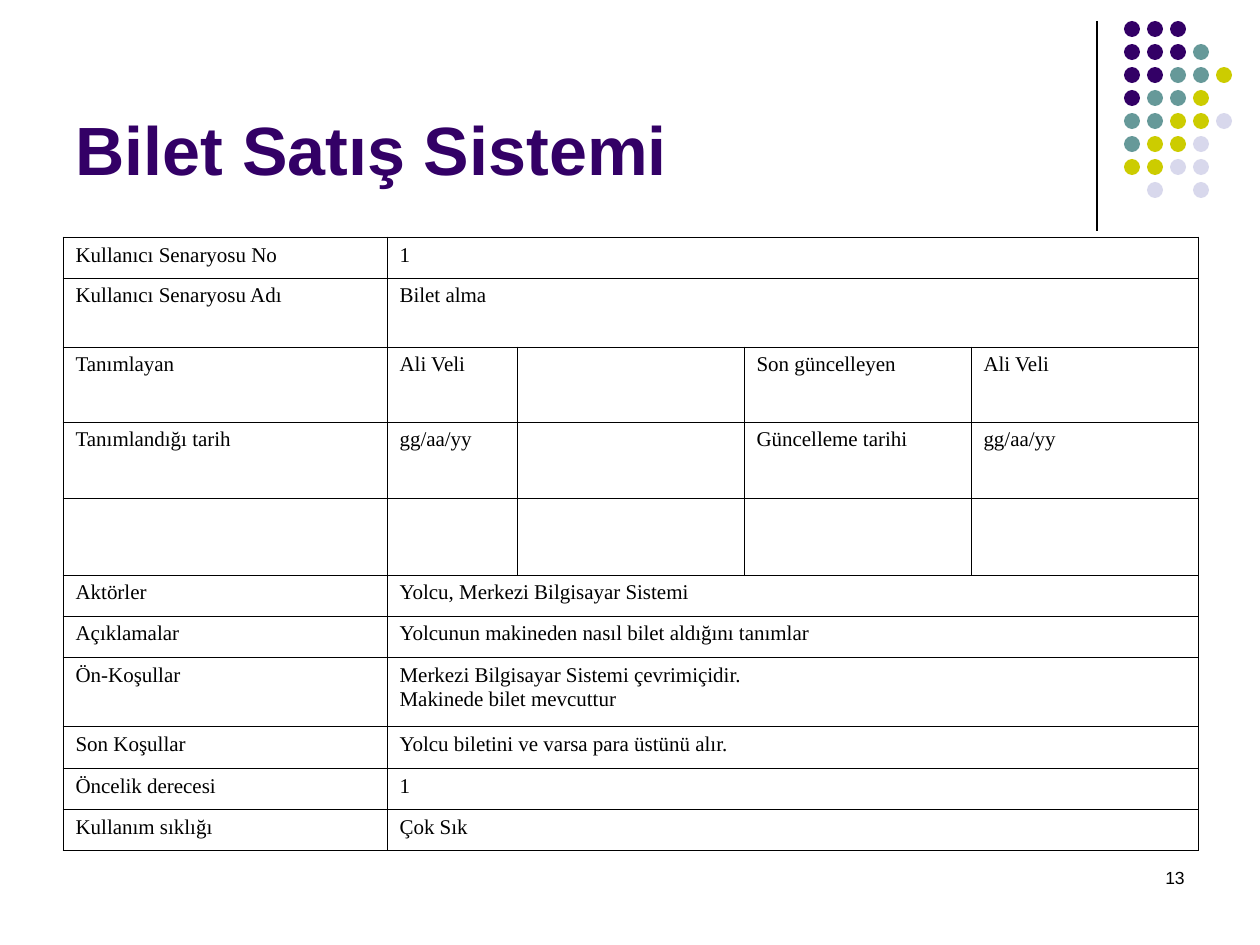
import pptx
import pptx.dml.color
import pptx.enum.shapes
import pptx.enum.text
import pptx.oxml.ns
import pptx.util
from lxml import etree

EMU_PER_PX = 914400 / 126
COLORS = {
    "text": "000000",
    "purple": "330066",
    "teal": "669999",
    "olive": "CCCC00",
    "lilac": "D8D8EC",
}
DOT_COLORS = {"P": "purple", "T": "teal", "O": "olive", "L": "lilac"}
DOT_ROWS = ["PPP", "PPPT", "PPTTO", "PTTO", "TTOOL", "TOOL", "OOLL", " L L"]
COLUMN_WIDTHS = [324, 130, 227, 227, 227]
SCENARIO_ROWS = [
    (41, ["Kullanıcı Senaryosu No", "1"]),
    (69, ["Kullanıcı Senaryosu Adı", "Bilet alma"]),
    (75, ["Tanımlayan", "Ali Veli", "", "Son güncelleyen", "Ali Veli"]),
    (76, ["Tanımlandığı tarih", "gg/aa/yy", "", "Güncelleme tarihi", "gg/aa/yy"]),
    (77, ["", "", "", "", ""]),
    (41, ["Aktörler", "Yolcu, Merkezi Bilgisayar Sistemi"]),
    (42, ["Açıklamalar", "Yolcunun makineden nasıl bilet aldığını tanımlar"]),
    (69, ["Ön-Koşullar",
          "Merkezi Bilgisayar Sistemi çevrimiçidir.\nMakinede bilet mevcuttur"]),
    (42, ["Son Koşullar", "Yolcu biletini ve varsa para üstünü alır."]),
    (41, ["Öncelik derecesi", "1"]),
    (41, ["Kullanım sıklığı", "Çok Sık"]),
]


def px(n):
    return pptx.util.Emu(round(n * EMU_PER_PX))


def rgb(name):
    return pptx.dml.color.RGBColor.from_string(COLORS[name])


def format_runs(tf, font, size, color, bold=False):
    for p in tf.paragraphs:
        for r in p.runs:
            r.font.name = font
            r.font.size = pptx.util.Pt(size)
            r.font.bold = bold
            r.font.color.rgb = rgb(color)


def add_text(s, box, text, size, color, bold=False, align="LEFT", anchor="TOP"):
    tf = s.shapes.add_textbox(*map(px, box)).text_frame
    tf.word_wrap = True
    tf.vertical_anchor = pptx.enum.text.MSO_ANCHOR[anchor]
    tf.text = text
    tf.paragraphs[0].alignment = pptx.enum.text.PP_ALIGN[align]
    format_runs(tf, "Arial", size, color, bold)


def add_divider(s, x, top, bottom):
    line = s.shapes.add_connector(
        pptx.enum.shapes.MSO_CONNECTOR.STRAIGHT, px(x), px(top), px(x), px(bottom))
    line.line.color.rgb = rgb("text")
    line.line.width = pptx.util.Pt(0.75)
    etree.SubElement(line._element.spPr, pptx.oxml.ns.qn("a:effectLst"))


def add_dots(s, left, top, pitch, size):
    group = s.shapes.add_group_shape()
    for row, codes in enumerate(DOT_ROWS):
        for col, code in enumerate(codes):
            if code == " ":
                continue
            sp = group.shapes.add_shape(
                pptx.enum.shapes.MSO_SHAPE.OVAL,
                px(left + col * pitch), px(top + row * pitch), px(size), px(size))
            sp.shadow.inherit = False
            sp.fill.solid()
            sp.fill.fore_color.rgb = rgb(DOT_COLORS[code])
            sp.line.fill.background()


def set_borders(cell):
    tcPr = cell._tc.get_or_add_tcPr()
    for i, side in enumerate(("lnL", "lnR", "lnT", "lnB")):
        ln = etree.Element(pptx.oxml.ns.qn("a:" + side), w=str(pptx.util.Pt(0.45)))
        fill = etree.SubElement(ln, pptx.oxml.ns.qn("a:solidFill"))
        etree.SubElement(fill, pptx.oxml.ns.qn("a:srgbClr"), val=COLORS["text"])
        tcPr.insert(i, ln)


def fill_cell(cell, text):
    cell.fill.background()
    set_borders(cell)
    tf = cell.text_frame
    tf.text = text
    if not text:
        etree.SubElement(tf.paragraphs[0]._p, pptx.oxml.ns.qn("a:endParaRPr"), sz="1200")
    for p in tf.paragraphs:
        pPr = p._p.get_or_add_pPr()
        pPr.set("marL", str(px(48)))
        pPr.set("indent", str(-px(48)))
    format_runs(tf, "Times New Roman", 12, "text")


def add_scenario_table(s, left, top):
    height = sum(h for h, _ in SCENARIO_ROWS)
    table = s.shapes.add_table(
        len(SCENARIO_ROWS), len(COLUMN_WIDTHS),
        px(left), px(top), px(sum(COLUMN_WIDTHS)), px(height)).table
    table.first_row = False
    table.horz_banding = False
    for column, width in zip(table.columns, COLUMN_WIDTHS):
        column.width = px(width)
    last = len(COLUMN_WIDTHS) - 1
    for i, (row_height, texts) in enumerate(SCENARIO_ROWS):
        table.rows[i].height = px(row_height)
        for j in range(last + 1):
            fill_cell(table.cell(i, j), texts[j] if j < len(texts) else "")
        if len(texts) == 2:
            table.cell(i, 1).merge(table.cell(i, last))


def main():
    prs = pptx.Presentation()
    prs.slide_width, prs.slide_height = px(1260), px(945)
    s = prs.slides.add_slide(prs.slide_layouts[6])
    add_divider(s, 1097, 21, 231)
    add_dots(s, 1124, 21, 23, 16)
    add_text(s, (903, 861, 294, 63), "13", 10, "text", align="RIGHT")
    add_text(s, (63, 16, 1040, 179), "Bilet Satış Sistemi", 39, "purple",
             bold=True, anchor="BOTTOM")
    add_scenario_table(s, 63, 237)
    prs.save("out.pptx")


if __name__ == "__main__":
    main()
